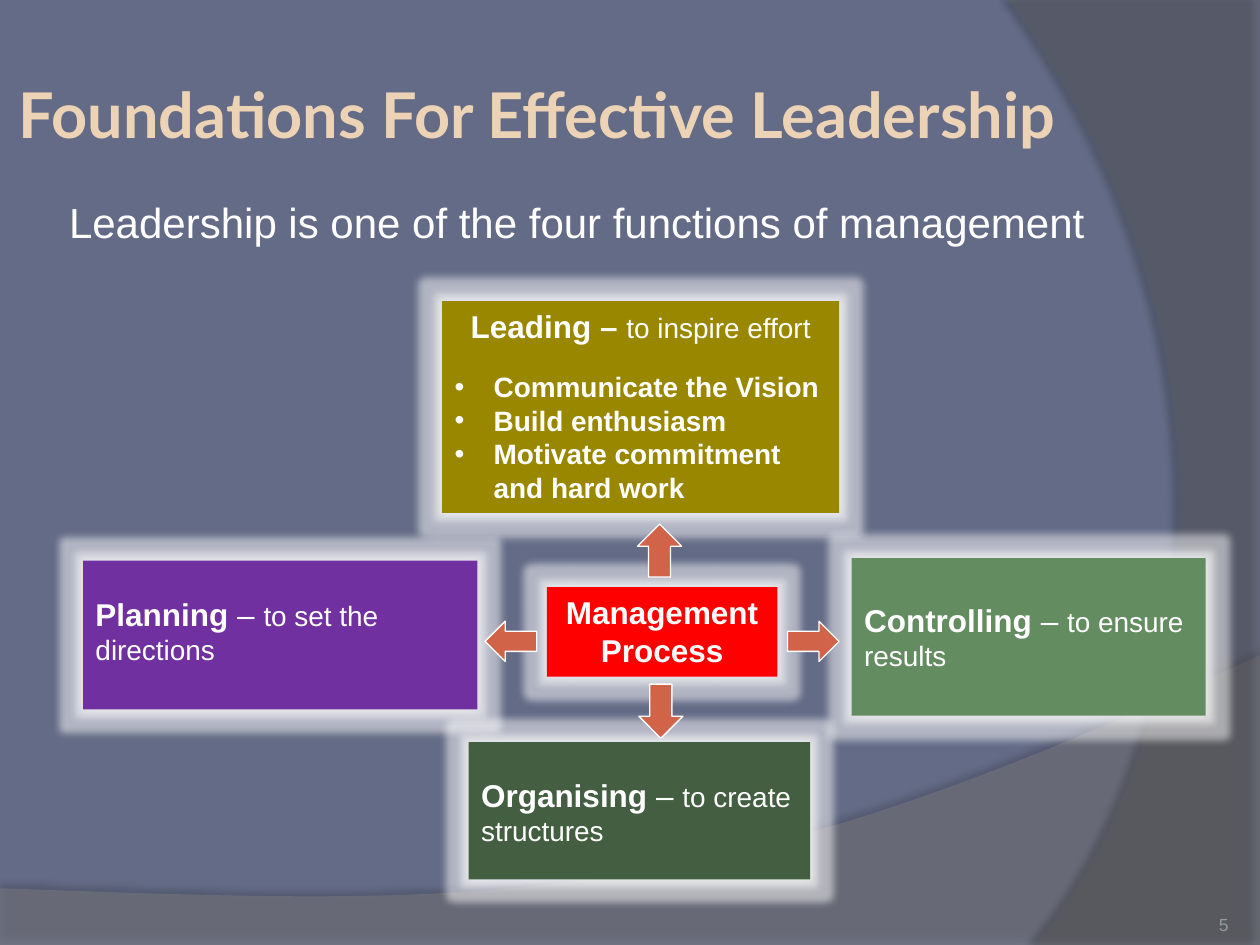
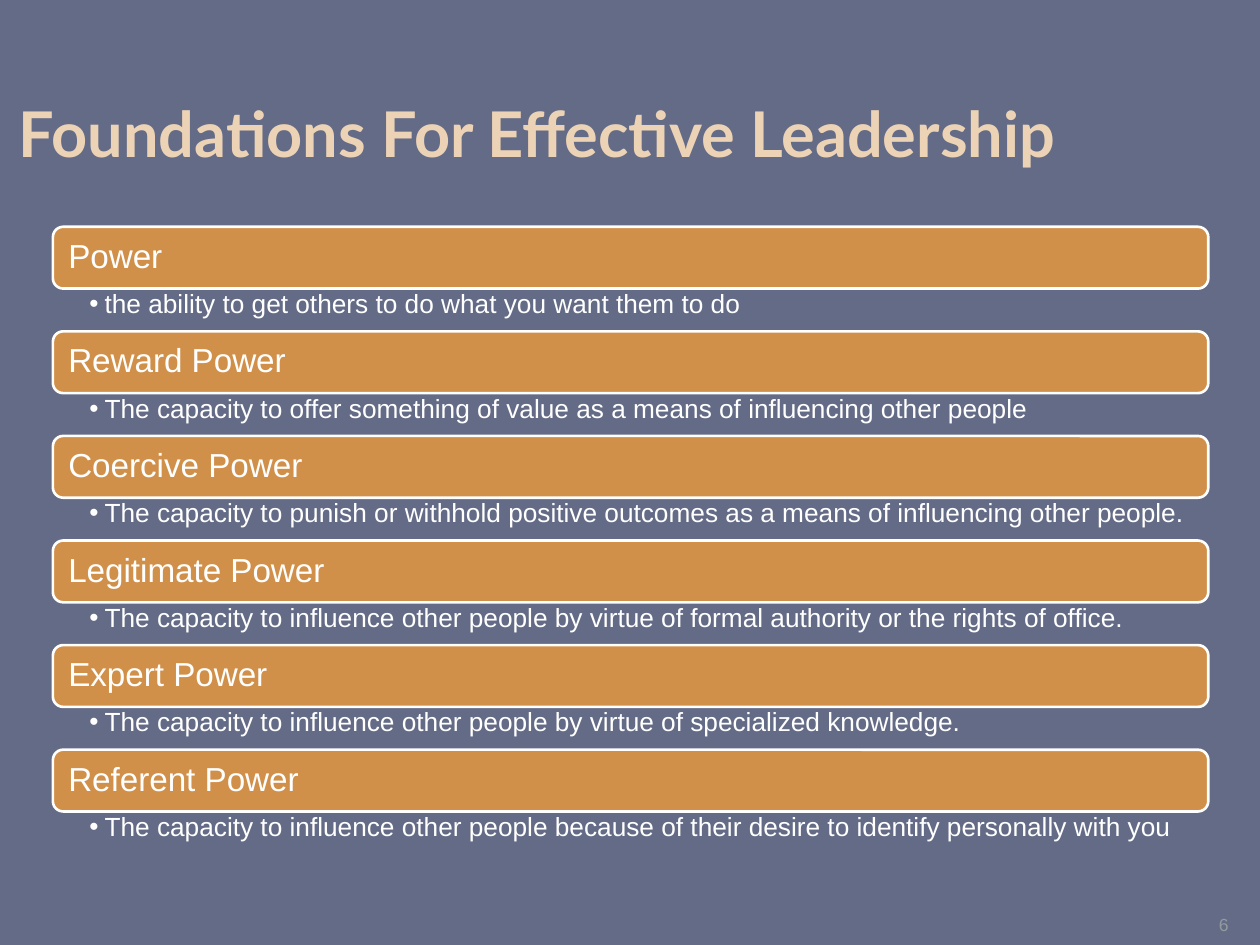
"""Build two slides on the foundations for effective leadership."""
from lxml import etree
from pptx import Presentation
from pptx.dml.color import RGBColor
from pptx.enum.shapes import MSO_SHAPE
from pptx.enum.text import MSO_ANCHOR, PP_ALIGN
from pptx.oxml.ns import qn
from pptx.util import Emu, Inches, Pt

WIDE, HIGH = Inches(10), Inches(7.5)
CELL = WIDE / 100
RECT, ROUND = MSO_SHAPE.RECTANGLE, MSO_SHAPE.ROUNDED_RECTANGLE
UP, DOWN = MSO_SHAPE.UP_ARROW, MSO_SHAPE.DOWN_ARROW
BACK, NEXT = MSO_SHAPE.LEFT_ARROW, MSO_SHAPE.RIGHT_ARROW
TOP, MID, BASE = MSO_ANCHOR.TOP, MSO_ANCHOR.MIDDLE, MSO_ANCHOR.BOTTOM
LEFT, MIDST, RIGHT = PP_ALIGN.LEFT, PP_ALIGN.CENTER, PP_ALIGN.RIGHT

INK = {
    "page": "646B86", "title": "EDD3B6", "text": "FFFFFF", "page_no": "929B9F",
    "wave": "7F7F7F", "curve": "5E5E5E", "shade": "000000", "arrow": "D16349",
    "core": "FF0000", "lead": "998700", "control": "648C61",
    "organise": "435E40", "plan": "7030A0", "power": "D19049",
}
HEAD = {"size": Pt(36), "name": "Lato", "bold": True}
BODY = {"size": Pt(24), "name": "Arial"}
TERM = {"size": Pt(18), "name": "Arial", "bold": True}
DASH = {"size": Pt(18), "name": "Arial"}
GOAL = {"size": Pt(16), "name": "Arial"}
DEED = {"size": Pt(16), "name": "Arial", "bold": True}
KIND = {"size": Pt(19), "name": "Arial"}
NOTE = {"size": Pt(15), "name": "Arial"}
FOOT = {"size": Pt(10), "name": "Arial"}

POWERS = [
    ("Power", "the ability to get others to do what you want them to do"),
    ("Reward Power", "The capacity to offer something of value as a means of "
     "influencing other people"),
    ("Coercive Power", "The capacity to punish or withhold positive outcomes "
     "as a means of influencing other people."),
    ("Legitimate Power", "The capacity to influence other people by virtue of "
     "formal authority or the rights of office."),
    ("Expert Power", "The capacity to influence other people by virtue of "
     "specialized knowledge."),
    ("Referent Power", "The capacity to influence other people because of "
     "their desire to identify personally with you"),
]


def grid(*cells):
    return [Emu(round(n * CELL)) for n in cells]


def tint(name):
    return RGBColor.from_string(INK[name])


def dress(item, values):
    for key, value in values.items():
        setattr(item, key, value)


def frame(shape, pads=(1, .5, 1, .5), anchor=TOP):
    left, top, right, bottom = grid(*pads)
    dress(shape.text_frame, {
        "word_wrap": True, "vertical_anchor": anchor, "margin_left": left,
        "margin_top": top, "margin_right": right, "margin_bottom": bottom})
    return shape.text_frame


def write(para, runs, ink="text", **form):
    dress(para, form)
    for text, font in runs:
        run = para.add_run()
        run.text = text
        dress(run.font, font)
        run.font.color.rgb = tint(ink)


def dot(para, indent):
    props = para._p.get_or_add_pPr()
    step = grid(indent)[0]
    props.set("marL", str(step))
    props.set("indent", str(-step))
    etree.SubElement(props, qn("a:buFont")).set("typeface", "Arial")
    etree.SubElement(props, qn("a:buChar")).set("char", "•")


def effect(shape, kind, ink, alpha, **size):
    spot = shape._element.spPr.find(qn("a:effectLst"))
    node = etree.SubElement(spot, qn("a:" + kind))
    for key, value in size.items():
        node.set(key, str(value))
    color = etree.SubElement(node, qn("a:srgbClr"))
    color.set("val", INK[ink])
    etree.SubElement(color, qn("a:alpha")).set("val", str(alpha * 1000))


def paint(shape, fill, line=None, width=1):
    shape.shadow.inherit = False
    shape.fill.solid()
    shape.fill.fore_color.rgb = tint(fill)
    if line:
        shape.line.color.rgb = tint(line)
        shape.line.width = Pt(width)
    else:
        shape.line.fill.background()


def block(slide, form, place, fill, line=None, width=1):
    shape = slide.shapes.add_shape(form, *grid(*place))
    paint(shape, fill, line, width)
    return shape


def label(slide, place, text, font, ink="text", pads=(1, .5, 1, .5),
          anchor=TOP, **form):
    body = frame(slide.shapes.add_textbox(*grid(*place)), pads, anchor)
    write(body.paragraphs[0], [(text, font)], ink, **form)
    return body.paragraphs[0]


def bend(ends, steps=40):
    points = []
    for n in range(steps + 1):
        t = n / steps
        parts = ((1 - t) ** 3, 3 * t * (1 - t) ** 2, 3 * t * t * (1 - t), t ** 3)
        points.append([sum(p * e[axis] for p, e in zip(parts, ends))
                       for axis in (0, 1)])
    return points


def sweep(slide, corners, ends, fill, alpha, dark, turn, dist):
    points = [grid(*point) for point in corners + bend(ends)]
    path = slide.shapes.build_freeform(*points[0], scale=1.0)
    path.add_line_segments(points[1:], close=True)
    shape = path.convert_to_shape()
    paint(shape, fill)
    color = shape._element.spPr.find(qn("a:solidFill"))[0]
    etree.SubElement(color, qn("a:alpha")).set("val", str(alpha * 1000))
    effect(shape, "outerShdw", "shade", dark, blurRad=Pt(4), dist=Pt(dist),
           dir=turn * 60000, algn="ctr", rotWithShape=0)


def waves(slide):
    sweep(slide, [(0, 75), (100, 75)],
          [(100, 52), (55.9, 72.9), (39.1, 71.9), (0, 70.5)],
          "wave", 45, 35, 270, 3.5)
    sweep(slide, [(100, 0), (100, 75)],
          [(82.1, 75), (93.5, 61.9), (101.8, 30), (80, 0)],
          "curve", 40, 45, 180, 4)


def start(deck, number, top):
    slide = deck.slides.add_slide(deck.slide_layouts[6])
    slide.background.fill.solid()
    slide.background.fill.fore_color.rgb = tint("page")
    if number == 5:
        waves(slide)
    label(slide, (0, top, 97.7, 10), "Foundations For Effective Leadership",
          HEAD, "title", (1.5, .5, .5, .5), MID)
    label(slide, (89.2, 70.2, 8.3, 4), str(number), FOOT, "page_no",
          (0, 0, 0, 0), BASE, alignment=RIGHT)
    return slide


def card(slide, place, fill, runs, drop=.5, align=LEFT):
    shape = block(slide, RECT, place, fill)
    effect(shape, "glow", "text", 50, rad=Pt(9))
    effect(shape, "outerShdw", "text", 60, blurRad=Pt(5), dist=0, algn="ctr")
    body = frame(shape, (1, drop, 1, .5))
    write(body.paragraphs[0], runs, alignment=align)
    return body


def process(deck):
    slide = start(deck, 5, 4)
    label(slide, (4.5, 15.1, 95.4, 6),
          "Leadership is one of the four functions of management", BODY)
    core = card(slide, (43.4, 46.6, 18.3, 7.1), "core",
                [("Management", TERM)], align=MIDST)
    write(core.add_paragraph(), [("Process", TERM)], alignment=MIDST)
    lead = card(slide, (35.1, 23.9, 31.5, 16.8), "lead",
                [("Leading – ", TERM), ("to inspire effort", GOAL)],
                align=MIDST)
    deeds = ("Communicate the Vision", "Build enthusiasm",
             "Motivate commitment and hard work")
    for n, deed in enumerate(deeds):
        para = lead.add_paragraph()
        dot(para, 3.1)
        write(para, [(deed, DEED)], alignment=LEFT,
              space_before=Pt(0 if n else 14))
    for place, fill, term, goal, drop in (
            ((67.6, 44.3, 28.1, 12.5), "control", "Controlling",
             "to ensure results", 3.4),
            ((37.2, 58.9, 27.1, 10.9), "organise", "Organising",
             "to create structures", 2.7),
            ((6.6, 44.5, 31.3, 11.8), "plan", "Planning",
             "to set the directions", 2.7)):
        card(slide, place, fill,
             [(term, TERM), (" – ", DASH), (goal, GOAL)], drop)
    for form, place in ((BACK, (38.5, 49.3, 4.1, 3.2)),
                        (DOWN, (50.7, 54.3, 3.5, 4.3)),
                        (UP, (50.6, 41.6, 3.5, 4.2)),
                        (NEXT, (62.5, 49.3, 4.1, 3.2))):
        block(slide, form, place, "arrow", "text", .75)


def powers(deck):
    slide = start(deck, 6, 5.5)
    for row, (kind, note) in enumerate(POWERS):
        top = 18 + row * 8.3
        band = block(slide, ROUND, (4.2, top, 91.7, 4.9), "power", "text", 1.5)
        body = frame(band, (1, .8, 1, .8), MID)
        write(body.paragraphs[0], [(kind, KIND)], alignment=LEFT,
              line_spacing=.9)
        para = label(slide, (4.2, top + 4.8, 91.7, 3.4), note, NOTE,
                     pads=(2.9, .3, 1.5, .3), line_spacing=.9)
        dot(para, 1.2)


def main():
    deck = Presentation()
    dress(deck, {"slide_width": WIDE, "slide_height": HIGH})
    process(deck)
    powers(deck)
    deck.save("out.pptx")


if __name__ == "__main__":
    main()
